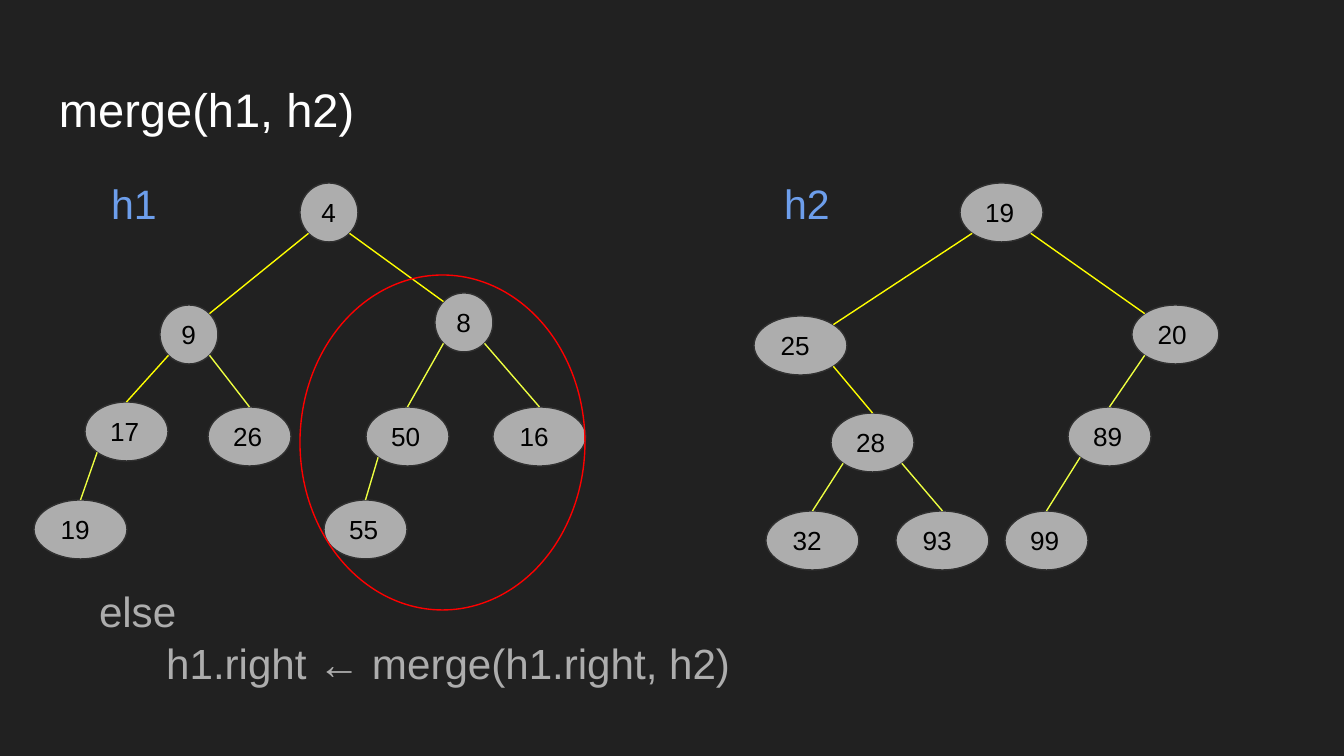
from math import sqrt

from lxml import etree
from pptx import Presentation
from pptx import util as u
from pptx.dml.color import RGBColor
from pptx.enum import shapes, text
from pptx.oxml.ns import qn

THEME = {
    "font": "Arial", "back": "212121", "title": "FFFFFF", "label": "6D9EEB",
    "code": "ADADAD", "node": "ADADAD", "rim": "303030", "key": "000000",
    "edge": "FFFF00", "pale": "EEFF41", "ring": "FF0000",
    "title_size": 25.2, "label_size": 22, "code_size": 22.6, "key_size": 14,
    "line": 0.75,
}
WIDE, HIGH = 1344, 756
PX = u.Inches(10) / WIDE
NODE_H = 59
PAD = 13

TITLE = ("merge(h1, h2)", (46, 66, 362, 85))
CODE = ("else\v\th1.right ← merge(h1.right, h2)", (86, 570, 680, 161))
LABELS = [("h1", (98, 165, 99, 77)), ("h2", (771, 165, 112, 77))]
RING = (300, 275, 285, 335)

# Each heap: key -> (left, top, width), root first
# Each edge: parent, child, side of the parent, colour
HEAPS = [
    ({4: (300, 183, 58), 9: (160, 305, 58), 17: (85, 402, 83),
      19: (34, 500, 93), 26: (208, 407, 83), 50: (366, 407, 83),
      55: (324, 500, 83), 16: (493, 407, 93), 8: (435, 293, 58)},
     [(4, 9, "left", "edge"), (4, 8, "right", "edge"),
      (9, 17, "left", "edge"), (9, 26, "right", "pale"),
      (17, 19, "left", "pale"), (8, 50, "left", "pale"),
      (8, 16, "right", "pale"), (50, 55, "left", "pale")]),
    ({19: (960, 183, 83), 25: (754, 316, 93), 28: (831, 413, 83),
      32: (766, 511, 93), 89: (1068, 407, 83), 99: (1005, 511, 83),
      93: (896, 511, 93), 20: (1132, 305, 87)},
     [(19, 25, "left", "edge"), (19, 20, "right", "edge"),
      (25, 28, "right", "edge"), (28, 32, "left", "pale"),
      (20, 89, "left", "pale"), (28, 93, "right", "pale"),
      (89, 99, "left", "pale")]),
]


def emu(*vals):
    return [round(v * PX) for v in vals]


def tint(name):
    return RGBColor.from_string(THEME[name])


def apply(item, vals):
    for name, val in vals.items():
        setattr(item, name, val)


def write(shape, words, role, anchor):
    frame = shape.text_frame
    frame.text = words
    apply(frame, dict.fromkeys(
        ("margin_left", "margin_top", "margin_right", "margin_bottom"),
        emu(PAD)[0]))
    apply(frame, {"word_wrap": True, "vertical_anchor": anchor,
                  "auto_size": text.MSO_AUTO_SIZE.NONE})
    para = frame.paragraphs[0]
    apply(para, {"alignment": text.PP_ALIGN.LEFT, "space_before": u.Pt(0)})
    for run in para.runs:
        apply(run.font, {"name": THEME["font"],
                         "size": u.Pt(THEME[role + "_size"])})
        run.font.color.rgb = tint(role)
    return para


def place(holder, box):
    apply(holder, dict(zip(("left", "top", "width", "height"), emu(*box))))


def stroke(line, role):
    line.color.rgb = tint(role)
    line.width = u.Pt(THEME["line"])


def oval(slide, box, rim, fill=None):
    shape = slide.shapes.add_shape(shapes.MSO_SHAPE.OVAL, *emu(*box))
    shape.shadow.inherit = False
    if fill:
        shape.fill.solid()
        shape.fill.fore_color.rgb = tint(fill)
    else:
        shape.fill.background()
    stroke(shape.line, rim)
    return shape


def point(node, side, down):
    """Find a point on the node's rim: its top, or a 45 degree diagonal."""
    left, top, width = node
    turn = {"left": -1, "top": 0, "right": 1}[side]
    drop = sqrt(0.5) * (1 if down else -1) if turn else -1
    return (left + width / 2 * (1 + turn * sqrt(0.5)),
            top + NODE_H / 2 * (1 + drop))


def draw_heap(slide, nodes, edges):
    for key, (left, top, width) in nodes.items():
        shape = oval(slide, (left, top, width, NODE_H), "rim", "node")
        write(shape, str(key), "key", text.MSO_ANCHOR.MIDDLE)
    root = next(iter(nodes))
    facing = {"left": "right", "right": "left"}
    for parent, child, side, hue in edges:
        end = facing[side] if parent == root else "top"
        ends = (point(nodes[parent], side, True)
                + point(nodes[child], end, False))
        link = slide.shapes.add_connector(
            shapes.MSO_CONNECTOR.STRAIGHT, *emu(*ends))
        stroke(link.line, hue)
        etree.SubElement(link._element.spPr, qn("a:effectLst"))


def main():
    deck = Presentation()
    deck.slide_width, deck.slide_height = emu(WIDE, HIGH)
    slide = deck.slides.add_slide(deck.slide_layouts[1])
    slide.background.fill.solid()
    slide.background.fill.fore_color.rgb = tint("back")

    title, body = slide.placeholders
    place(title, TITLE[1])
    write(title, TITLE[0], "title", text.MSO_ANCHOR.MIDDLE)
    for heap in HEAPS:
        draw_heap(slide, *heap)
    for words, box in LABELS:
        label = slide.shapes.add_textbox(*emu(*box))
        write(label, words, "label", text.MSO_ANCHOR.TOP)

    place(body, CODE[1])
    para = write(body, CODE[0], "code", text.MSO_ANCHOR.TOP)
    apply(para, {"space_after": u.Pt(12), "line_spacing": 1.04})
    props = para._p.get_or_add_pPr()
    for name in ("marL", "indent"):
        props.set(name, "0")
    etree.SubElement(props, qn("a:buNone"))
    oval(slide, RING, "ring")
    deck.save("out.pptx")


if __name__ == "__main__":
    main()
